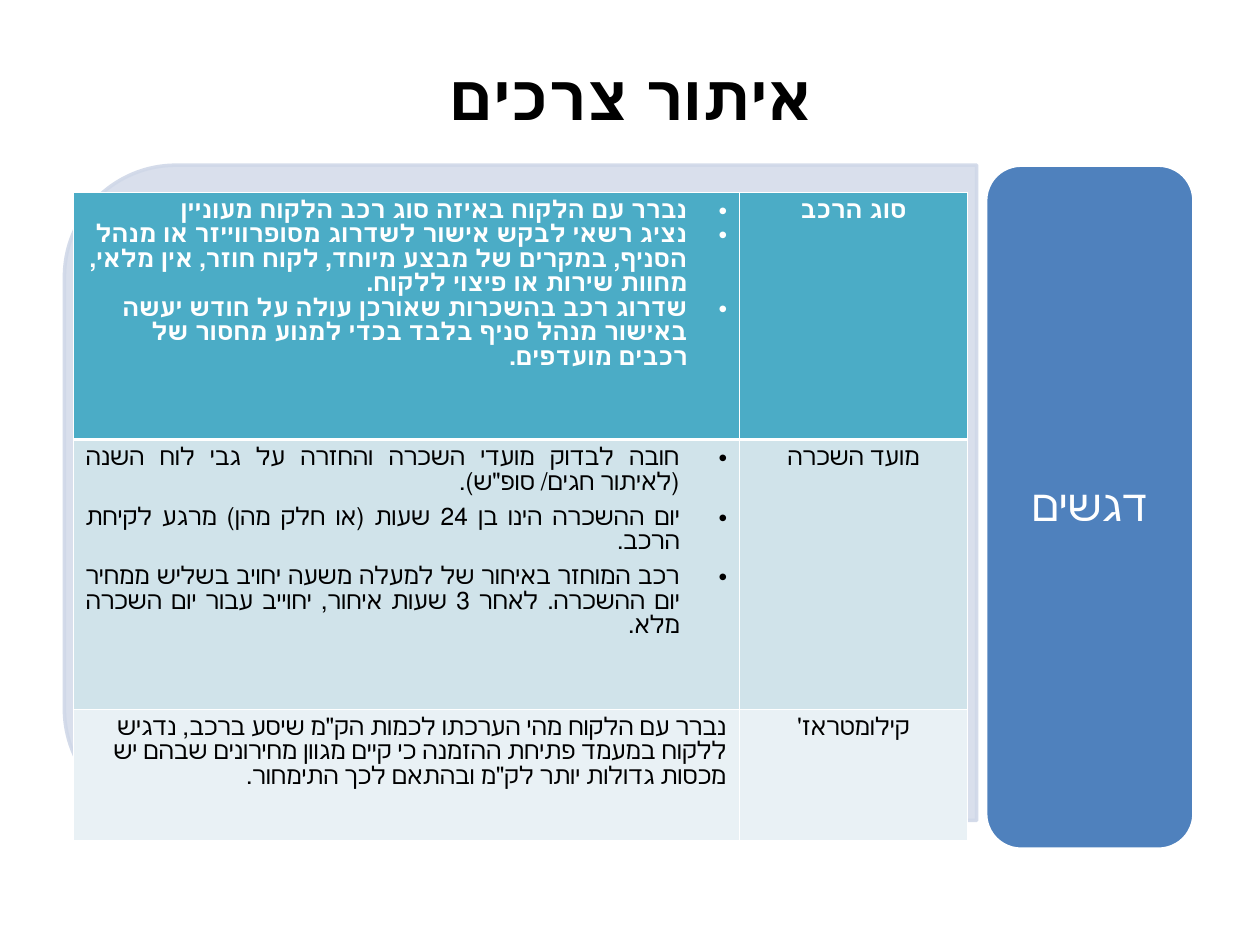
from dataclasses import dataclass

from lxml.etree import SubElement
from pptx import Presentation
from pptx.dml.color import RGBColor
from pptx.enum.shapes import MSO_SHAPE
from pptx.enum.text import MSO_ANCHOR, PP_ALIGN
from pptx.oxml.ns import qn
from pptx.util import Cm, Pt


@dataclass(frozen=True)
class Theme:
    font: str = "Calibri"
    black: str = "000000"
    white: str = "FFFFFF"
    panel: str = "D0D8E8"
    label: str = "4F81BD"
    header: str = "4BACC6"
    band_dark: str = "D0E3EA"
    band_light: str = "E9F1F5"
    title_size: float = 36
    label_size: float = 25
    body_size: float = 14
    thin: float = 0.45
    thick: float = 1.47


theme = Theme()


def write(frame, *texts, size=theme.body_size, color=theme.black, bold=False,
          align=PP_ALIGN.CENTER, hang=0, before=0, after=0, spacing=None):
    frame.word_wrap = True
    for index, text in enumerate(texts):
        paragraph = frame.paragraphs[0] if index == 0 else frame.add_paragraph()
        paragraph.alignment = align
        paragraph.line_spacing = spacing
        paragraph.space_before, paragraph.space_after = Pt(before), Pt(after)
        properties = paragraph._p.get_or_add_pPr()
        properties.set("rtl", "1")
        properties.set("marL", str(Cm(hang)))
        properties.set("indent", str(-Cm(hang)))
        if hang:
            bullet_color = SubElement(properties, qn("a:buClr"))
            SubElement(bullet_color, qn("a:srgbClr"), val=color)
            SubElement(properties, qn("a:buFont"), typeface="Arial")
            SubElement(properties, qn("a:buChar"), char="•")
        run = paragraph.add_run()
        run.text = text
        run.font.size, run.font.bold = Pt(size), bold
        run.font.name = theme.font
        run.font.color.rgb = RGBColor.from_string(color)
        run._r.rPr.set("lang", "he-IL")


presentation = Presentation()
presentation.slide_width, presentation.slide_height = Cm(25.4), Cm(19.05)
slide = presentation.slides.add_slide(presentation.slide_layouts[5])

panel = slide.shapes.add_shape(MSO_SHAPE.ROUND_2_SAME_RECTANGLE,
                               Cm(3.89), Cm(0.74), Cm(13.21), Cm(18.39))
panel.rotation = 270
panel.adjustments[0] = 0.17
panel.shadow.inherit = False
panel.fill.solid()
panel.fill.fore_color.rgb = RGBColor.from_string(theme.panel)
panel.line.color.rgb = RGBColor.from_string(theme.panel)
panel.line.width = Pt(2)
panel_colors = panel._element.spPr.iter(qn("a:srgbClr"))
for panel_color, alpha in zip(list(panel_colors), (80000, 90000)):
    SubElement(panel_color, qn("a:alpha"), val=str(alpha))

rows = [
    dict(
        topic="סוג הרכב",
        details=[
            "נברר עם הלקוח באיזה סוג רכב הלקוח מעוניין",
            "נציג רשאי לבקש אישור לשדרוג מסופרווייזר או מנהל הסניף, במקרים של מבצע מיוחד, לקוח חוזר, אין מלאי, מחוות שירות או פיצוי ללקוח.",
            "שדרוג רכב בהשכרות שאורכן עולה על חודש יעשה באישור מנהל סניף בלבד בכדי למנוע מחסור של רכבים מועדפים.",
        ],
        height=4.99, fill=theme.header, top=theme.thin, bottom=theme.thick,
        font=dict(color=theme.white, bold=True),
        layout=dict(align=PP_ALIGN.RIGHT, hang=0.79),
    ),
    dict(
        topic="מועד השכרה",
        details=[
            "חובה לבדוק מועדי השכרה והחזרה על גבי לוח השנה (לאיתור חגים/ סופ\"ש).",
            "יום ההשכרה הינו בן 24 שעות (או חלק מהן) מרגע לקיחת הרכב.",
            "רכב המוחזר באיחור של למעלה משעה יחויב בשליש ממחיר יום ההשכרה. לאחר 3 שעות איחור, יחוייב עבור יום השכרה מלא.",
        ],
        height=5.44, fill=theme.band_dark, top=theme.thick, bottom=theme.thin,
        font=dict(),
        layout=dict(align=PP_ALIGN.JUSTIFY, hang=0.95, before=6),
    ),
    dict(
        topic="קילומטראז'",
        details=[
            "נברר עם הלקוח מהי הערכתו לכמות הק\"מ שיסע ברכב, נדגיש ללקוח במעמד פתיחת ההזמנה כי קיים מגוון מחירונים שבהם יש מכסות גדולות יותר לק\"מ ובהתאם לכך התימחור.",
        ],
        height=2.64, fill=theme.band_light, top=theme.thin, bottom=theme.thin,
        font=dict(),
        layout=dict(align=PP_ALIGN.RIGHT),
    ),
]

total_height = sum(row["height"] for row in rows)
needs = slide.shapes.add_table(len(rows), 2, Cm(1.47), Cm(3.87),
                               Cm(18.03), Cm(total_height)).table
needs.columns[0].width, needs.columns[1].width = Cm(13.44), Cm(4.59)
for index, row in enumerate(rows):
    needs.rows[index].height = Cm(row["height"])
    detail_cell, topic_cell = needs.cell(index, 0), needs.cell(index, 1)
    write(detail_cell.text_frame, *row["details"], **row["font"], **row["layout"])
    write(topic_cell.text_frame, row["topic"], **row["font"])
    borders = dict(lnL=theme.thin, lnR=theme.thin, lnT=row["top"], lnB=row["bottom"])
    for cell in (detail_cell, topic_cell):
        cell_properties = cell._tc.get_or_add_tcPr()
        for side, width in borders.items():
            border = SubElement(cell_properties, qn(f"a:{side}"), w=str(Pt(width)))
            border_fill = SubElement(border, qn("a:solidFill"))
            SubElement(border_fill, qn("a:srgbClr"), val=theme.white)
        cell.fill.solid()
        cell.fill.fore_color.rgb = RGBColor.from_string(row["fill"])

title = slide.shapes.title
title.left, title.top, title.width, title.height = Cm(1.3), Cm(0.33), Cm(22.86), Cm(3.18)
title.text_frame.vertical_anchor = MSO_ANCHOR.MIDDLE
write(title.text_frame, "איתור צרכים", size=theme.title_size, bold=True)

label = slide.shapes.add_shape(MSO_SHAPE.ROUNDED_RECTANGLE,
                               Cm(19.87), Cm(3.33), Cm(4.2), Cm(13.79))
label.adjustments[0] = 0.17
label.shadow.inherit = False
label.fill.solid()
label.fill.fore_color.rgb = RGBColor.from_string(theme.label)
label.line.color.rgb = RGBColor.from_string(theme.white)
label.line.width = Pt(2)
label.text_frame.vertical_anchor = MSO_ANCHOR.MIDDLE
write(label.text_frame, "דגשים", size=theme.label_size, color=theme.white,
      spacing=0.9, after=10.9)

presentation.save("out.pptx")
